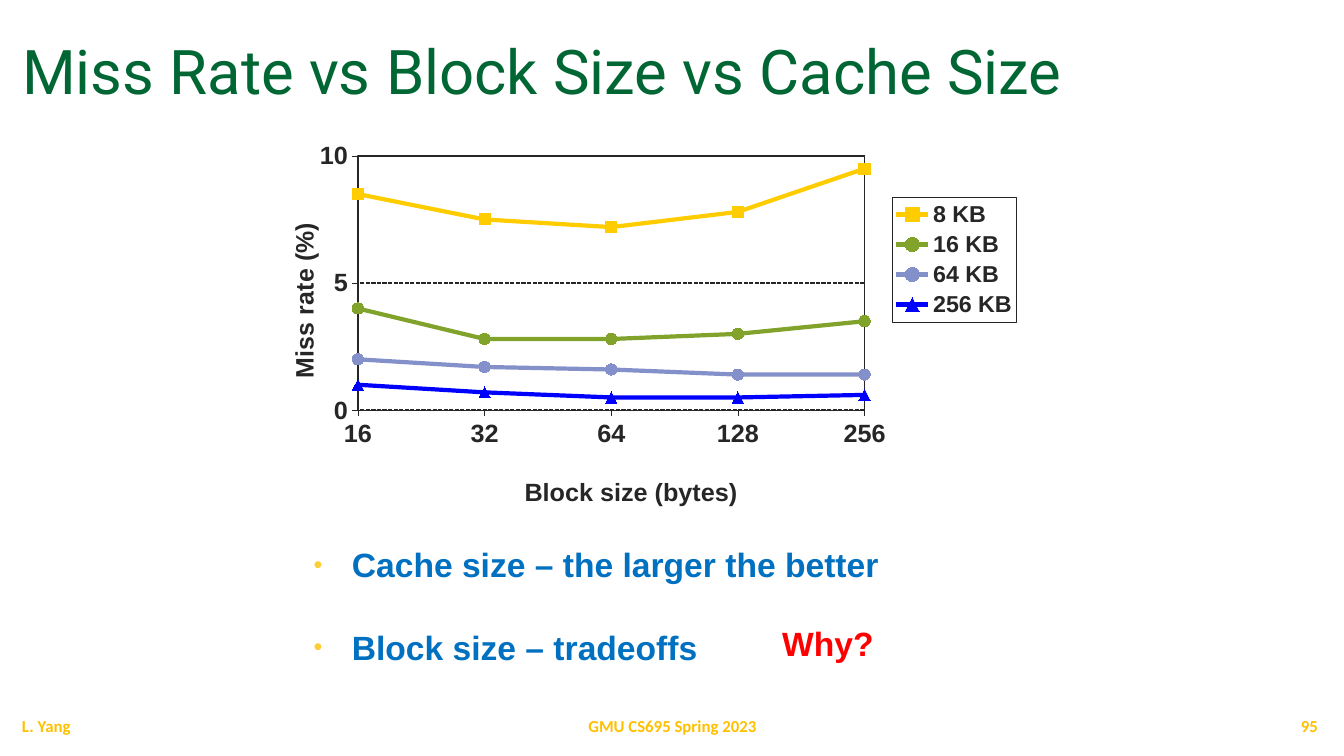
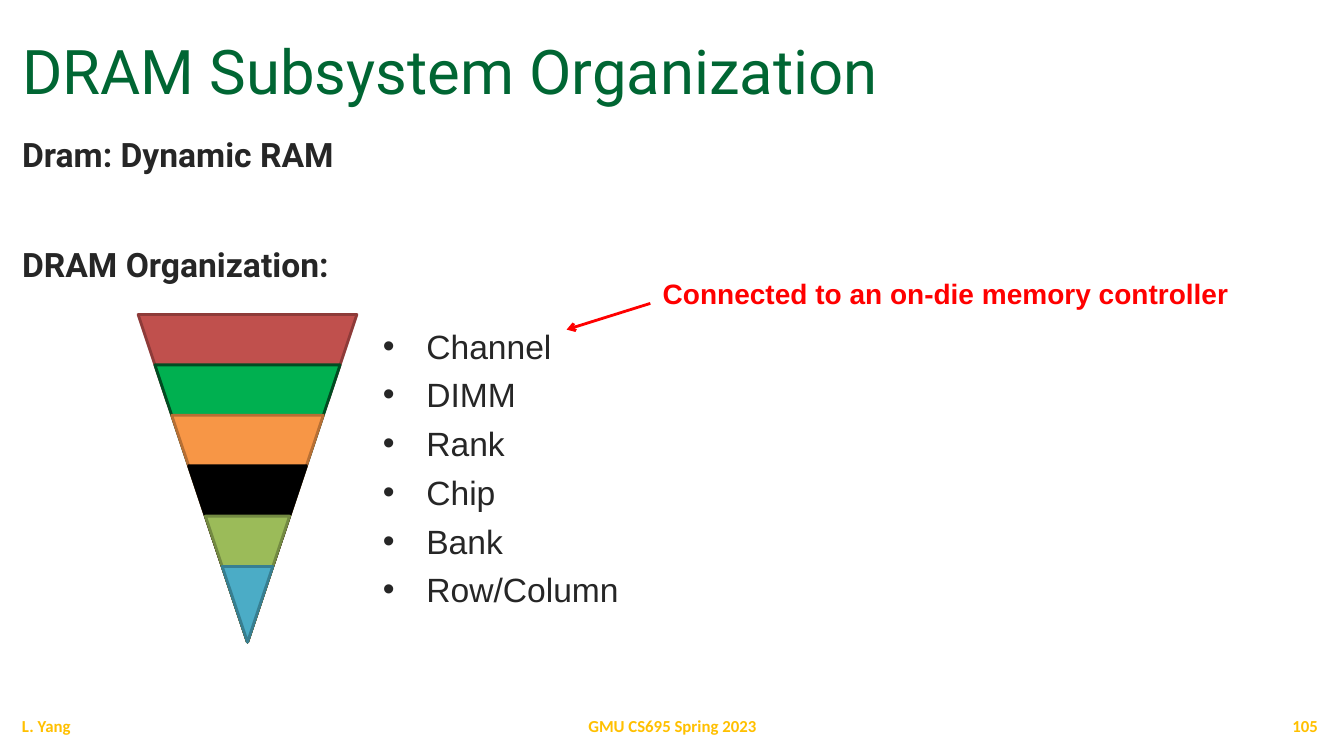
import dataclasses

import pptx
import pptx.chart.data
import pptx.dml.color
import pptx.enum.chart
import pptx.enum.dml
import pptx.enum.shapes
import pptx.enum.text
import pptx.oxml
import pptx.oxml.ns
import pptx.util

ALIGN = pptx.enum.text.PP_ALIGN
ANCHOR = pptx.enum.text.MSO_ANCHOR
MARK = pptx.enum.chart.XL_MARKER_STYLE
SPACE = pptx.oxml.ns.nsdecls("a", "c")


@dataclasses.dataclass(frozen=True)
class Font:
    """A typeface with its size, colour and weight."""
    name: str
    size: float
    color: str
    bold: bool = False


@dataclasses.dataclass(frozen=True)
class Theme:
    """Colours and type shared by the slides."""
    ink: str = "262626"
    red: str = "FF0000"
    bullet: str = "FFCC33"
    title: Font = Font("Roboto", 44, "006633")
    foot: Font = Font("Calibri", 12, "FFC000", True)
    head: Font = Font("Roboto", 24, "262626", True)
    item: Font = Font("Arial", 24, "262626")
    point: Font = Font("Arial", 24, "0070C0", True)
    ask: Font = Font("Arial", 24, "FF0000", True)
    call: Font = Font("Arial", 20, "FF0000", True)
    axis: Font = Font("Arial", 18, "262626", True)
    key: Font = Font("Arial", 16.6, "262626", True)


THEME = Theme()
SIZES = ["16", "32", "64", "128", "256"]
RATES = [
    ("8 KB", [8.5, 7.5, 7.2, 7.8, 9.5], "FFCC00", MARK.SQUARE),
    ("16 KB", [4, 2.8, 2.8, 3, 3.5], "81A32B", MARK.CIRCLE),
    ("64 KB", [2, 1.7, 1.6, 1.4, 1.4], "8390C9", MARK.CIRCLE),
    ("256 KB", [1, 0.7, 0.5, 0.5, 0.6], "0000FF", MARK.TRIANGLE),
]
LAYERS = [
    ("C0504D", "8E3B39"),
    ("00B050", "004C22"),
    ("F79646", "B76F34"),
    ("000000", "000000"),
    ("9BBB59", "738A42"),
    ("4BACC6", "377F92"),
]
PARTS = ["Channel", "DIMM", "Rank", "Chip", "Bank", "Row/Column"]


def px(num):
    """Turn px into EMU, at 100 px to the inch."""
    return pptx.util.Emu(round(num * 9144))


def rgb(code):
    """Return the colour for a hex code."""
    return pptx.dml.color.RGBColor.from_string(code)


def style(font, look):
    """Apply a theme font."""
    font.name, font.size, font.bold = look.name, pptx.util.Pt(look.size), look.bold
    font.color.rgb = rgb(look.color)


def stroke(line, color, width):
    """Set the colour and width in points of a line."""
    line.color.rgb = rgb(color)
    line.width = pptx.util.Pt(width)


def bullet(para, indent, color=None, scale=100):
    """Give a paragraph a hanging round bullet."""
    props = para._p.get_or_add_pPr()
    props.set("marL", str(px(indent)))
    props.set("indent", str(-px(indent)))
    tint = f'<a:buClr {SPACE}><a:srgbClr val="{color}"/></a:buClr>' if color else ""
    marks = [
        f'<a:buSzPct {SPACE} val="{scale * 1000}"/>',
        f'<a:buFont {SPACE} typeface="Arial"/>',
        f'<a:buChar {SPACE} char="•"/>',
    ]
    for mark in ([tint] if tint else []) + marks:
        props.append(pptx.oxml.parse_xml(mark))


def text(slide, box, lines, look, align=ALIGN.LEFT, anchor=ANCHOR.TOP,
         gap=0, lead=None, inset=(10, 5), wrap=True, mark=None):
    """Write lines of text in a box, with optional bullets."""
    frame = slide.shapes.add_textbox(*map(px, box)).text_frame
    frame.word_wrap = wrap
    frame.vertical_anchor = anchor
    frame.margin_left = frame.margin_right = px(inset[0])
    frame.margin_top = frame.margin_bottom = px(inset[1])
    for num, line in enumerate(lines):
        para = frame.add_paragraph() if num else frame.paragraphs[0]
        para.alignment = align
        if lead:
            para.line_spacing = lead
        if num:
            para.space_before = pptx.util.Pt(gap)
        if mark:
            bullet(para, **mark)
        run = para.add_run()
        run.text = line
        style(run.font, look)


def base(deck, title, page):
    """Add a slide with its title and footer."""
    slide = deck.slides.add_slide(deck.slide_layouts[6])
    text(slide, (12, 17, 1305, 95), [title], THEME.title, anchor=ANCHOR.BOTTOM, lead=0.9)
    foot = [
        (12, 300, "L. Yang", ALIGN.LEFT),
        (442, 450, "GMU CS695 Spring 2023", ALIGN.CENTER),
        (1017, 300, page, ALIGN.RIGHT),
    ]
    for left, wide, label, align in foot:
        text(slide, (left, 700, wide, 40), [label], THEME.foot, align, ANCHOR.MIDDLE)
    return slide


def place(node, index, left, top, size=None):
    """Fix the place of a chart part, in shares of the chart."""
    for old in node.xpath("c:layout"):
        node.remove(old)
    inner = '<c:layoutTarget val="inner"/>' if index == 0 else ""
    spot = f'<c:x val="{left}"/><c:y val="{top}"/>'
    if size:
        spot += f'<c:w val="{size[0]}"/><c:h val="{size[1]}"/>'
    node.insert(index, pptx.oxml.parse_xml(
        f'<c:layout {SPACE}><c:manualLayout>{inner}<c:xMode val="edge"/>'
        f'<c:yMode val="edge"/>{spot}</c:manualLayout></c:layout>'))


def frame(width):
    """Make an unfilled outline for a chart part."""
    return pptx.oxml.parse_xml(
        f'<c:spPr {SPACE}><a:noFill/><a:ln w="{pptx.util.Pt(width)}"><a:solidFill>'
        f'<a:srgbClr val="{THEME.ink}"/></a:solidFill></a:ln></c:spPr>')


def axes(chart):
    """Style both axes and their titles."""
    cat, val = chart.category_axis, chart.value_axis
    for axis, label, left, top in [(cat, "Block size (bytes)", 0.34, 0.9),
                                   (val, "Miss rate (%)", 0.03, 0.24)]:
        axis.major_tick_mark = pptx.enum.chart.XL_TICK_MARK.OUTSIDE
        style(axis.tick_labels.font, THEME.axis)
        stroke(axis.format.line, THEME.ink, 0.25)
        run = axis.axis_title.text_frame.paragraphs[0].add_run()
        run.text = label
        style(run.font, THEME.axis)
        place(axis.axis_title._element, 1, left, top)
    val.minimum_scale, val.maximum_scale, val.major_unit = 0, 10, 5
    grid = val.major_gridlines.format.line
    stroke(grid, THEME.ink, 1)
    grid.dash_style = pptx.enum.dml.MSO_LINE.SQUARE_DOT
    node = val._element
    for old in node.xpath("c:crossBetween"):
        node.remove(old)
    node.xpath("c:crosses|c:crossAx")[-1].addnext(
        pptx.oxml.parse_xml(f'<c:crossBetween {SPACE} val="midCat"/>'))


def graph(slide, box):
    """Draw the miss rate line chart."""
    data = pptx.chart.data.CategoryChartData()
    data.categories = SIZES
    for name, rates, color, mark in RATES:
        data.add_series(name, rates)
    kind = pptx.enum.chart.XL_CHART_TYPE.LINE_MARKERS
    chart = slide.shapes.add_chart(kind, *map(px, box), data).chart
    chart.has_title = False
    style(chart.font, THEME.axis)
    plot = chart.plots[0]
    plot.vary_by_categories = False
    for line, (name, rates, color, mark) in zip(plot.series, RATES):
        line.smooth = False
        stroke(line.format.line, color, 3)
        line.marker.style, line.marker.size = mark, 8
        line.marker.format.fill.solid()
        line.marker.format.fill.fore_color.rgb = rgb(color)
        line.marker.format.line.color.rgb = rgb(color)
    axes(chart)
    area = plot._element.getparent()
    place(area, 0, 0.128, 0.071, (0.663, 0.669))
    area.append(frame(1))
    chart.has_legend = True
    key = chart.legend
    key.position = pptx.enum.chart.XL_LEGEND_POSITION.RIGHT
    key.include_in_layout = False
    style(key.font, THEME.key)
    place(key._element, 1, 0.827, 0.18, (0.162, 0.327))
    key._element.xpath("c:overlay")[0].addnext(frame(0.25))


def funnel(slide, box):
    """Stack triangles that share one tip at the foot of the box."""
    left, top, wide, high = box
    for num, (fill, edge) in enumerate(LAYERS):
        drop = 50 * num
        tall = high - drop
        span = wide * tall / high
        part = slide.shapes.add_shape(
            pptx.enum.shapes.MSO_SHAPE.FLOWCHART_MERGE,
            px(left + (wide - span) / 2), px(top + drop), px(span), px(tall))
        part.shadow.inherit = False
        part.fill.solid()
        part.fill.fore_color.rgb = rgb(fill)
        stroke(part.line, edge, 2)


def callout(slide, box, label):
    """Write a red note with an arrow from its left side."""
    left, top, wide, high = box
    text(slide, box, [label], THEME.call, ALIGN.CENTER, wrap=False)
    kind = pptx.enum.shapes.MSO_CONNECTOR.STRAIGHT
    arrow = slide.shapes.add_connector(
        kind, px(left), px(top + 32), px(left - 83), px(top + 58))
    stroke(arrow.line, THEME.red, 2)
    arrow.line._get_or_add_ln().append(
        pptx.oxml.parse_xml(f'<a:tailEnd {SPACE} type="arrow"/>'))
    arrow._element.spPr.append(pptx.oxml.parse_xml(f"<a:effectLst {SPACE}/>"))


def rates(deck):
    """Build the miss rate slide."""
    slide = base(deck, "Miss Rate vs Block Size vs Cache Size", "95")
    graph(slide, (258, 128, 758, 382))
    text(slide, (304, 537, 926, 127),
         ["Cache size – the larger the better", "Block size – tradeoffs"],
         THEME.point, gap=30, inset=(7, 3),
         mark={"indent": 38, "color": THEME.bullet, "scale": 75})
    text(slide, (766, 613, 366, 50), ["Why?"], THEME.ask)


def dram(deck):
    """Build the memory organization slide."""
    slide = base(deck, "DRAM Subsystem Organization", "105")
    funnel(slide, (137, 312, 217, 325))
    text(slide, (12, 128, 1305, 562), ["Dram: Dynamic RAM", "DRAM Organization:"],
         THEME.head, gap=50)
    text(slide, (370, 318, 384, 368), PARTS, THEME.item, gap=6, mark={"indent": 43})
    callout(slide, (645, 269, 586, 44), "Connected to an on-die memory controller")


def main():
    """Build and save the deck."""
    deck = pptx.Presentation()
    deck.slide_width, deck.slide_height = px(1333), px(750)
    rates(deck)
    dram(deck)
    deck.save("out.pptx")


if __name__ == "__main__":
    main()
